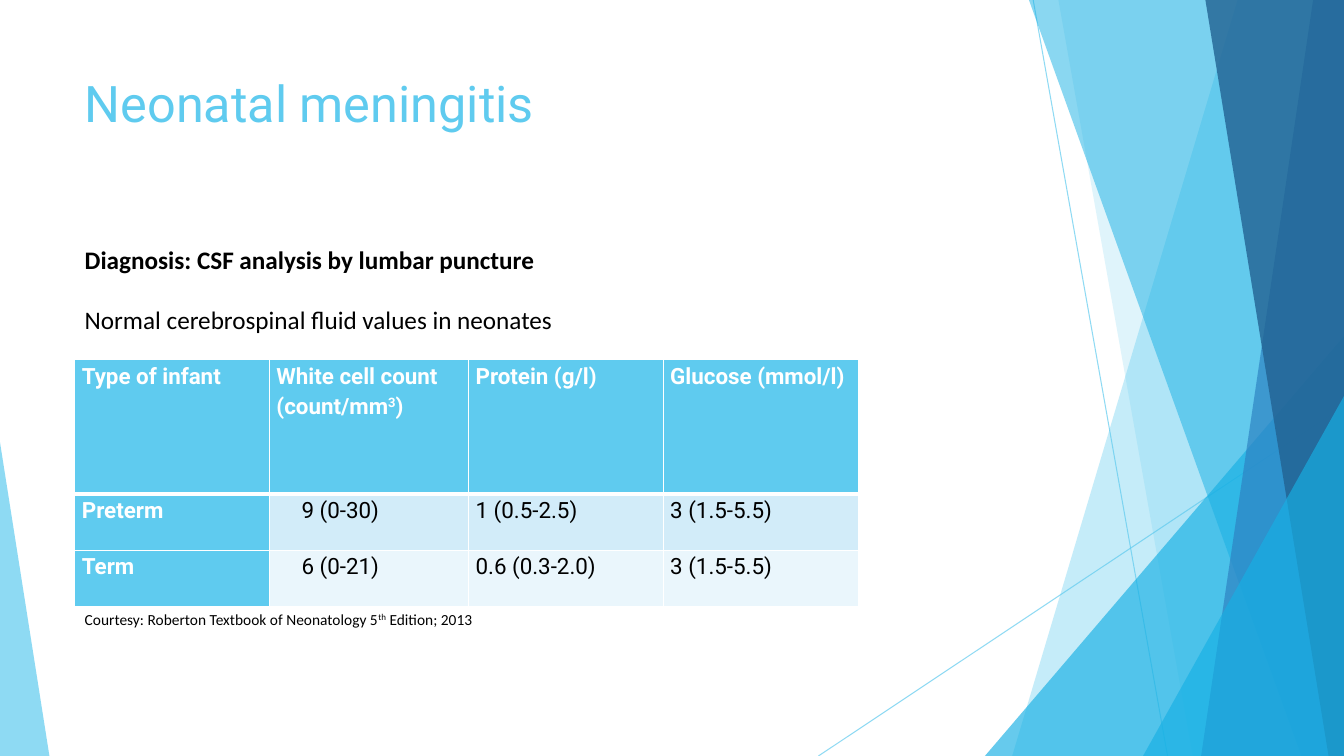
from lxml import etree
from pptx import Presentation
from pptx.dml.color import RGBColor
from pptx.enum import shapes, text
from pptx.oxml import ns
from pptx.util import Pt

WIDTH, HEIGHT = 960, 540
SKY = RGBColor(0x5F, 0xCB, 0xEF)
CYAN = RGBColor(0x17, 0xB0, 0xE4)
BLUE = RGBColor(0x2E, 0x83, 0xC3)
NAVY = RGBColor(0x22, 0x62, 0x92)
BAND_DARK = RGBColor(0xD2, 0xEC, 0xF9)
BAND_LIGHT = RGBColor(0xEA, 0xF6, 0xFC)
WHITE = RGBColor(0xFF, 0xFF, 0xFF)
BLACK = RGBColor(0, 0, 0)

# Each entry is (text, baseline shift in thousandths of a percent)
HEADERS = [
    [("Type of infant", 0)],
    [("White cell count (count/mm", 0), ("3", 30000), (")", 0)],
    [("Protein (g/l)", 0)],
    [("Glucose (mmol/l)", 0)],
]
VALUES = [
    ["Preterm", "9 (0-30)", "1 (0.5-2.5)", "3 (1.5-5.5)"],
    ["Term", "6 (0-21)", "0.6 (0.3-2.0)", "3 (1.5-5.5)"],
]


def sub(parent, tag, **attrs):
    return etree.SubElement(parent, ns.qn(tag), **attrs)


def set_alpha(fill_parent, percent):
    color = fill_parent.find(".//" + ns.qn("a:srgbClr"))
    sub(color, "a:alpha", val=str(percent * 1000))


def style_facet(sp, color, alpha):
    sp.shadow.inherit = False
    sp.fill.solid()
    sp.fill.fore_color.rgb = color
    set_alpha(sp._element.spPr, alpha)
    sp.line.fill.background()


def add_ribbon(slide, top_x, bottom_x, color, alpha):
    """Full-height facet that reaches the right edge of the slide."""
    builder = slide.shapes.build_freeform(Pt(top_x), 0)
    corners = [(WIDTH, 0), (WIDTH, HEIGHT), (bottom_x, HEIGHT)]
    builder.add_line_segments([(Pt(x), Pt(y)) for x, y in corners], close=True)
    style_facet(builder.convert_to_shape(), color, alpha)


def add_corner(slide, left, top, right, apex, color, alpha):
    """Right triangle standing on the bottom edge of the slide."""
    sp = slide.shapes.add_shape(
        shapes.MSO_SHAPE.ISOSCELES_TRIANGLE,
        Pt(left), Pt(top), Pt(right - left), Pt(HEIGHT - top))
    sp.adjustments[0] = apex
    style_facet(sp, color, alpha)


def add_hairline(slide, x1, y1, x2, y2):
    line = slide.shapes.add_connector(
        shapes.MSO_CONNECTOR.STRAIGHT, Pt(x1), Pt(y1), Pt(x2), Pt(y2))
    line.line.color.rgb = SKY
    line.line.width = Pt(0.75)
    set_alpha(line._element.spPr, 70)
    sub(line._element.spPr, "a:effectLst")


def add_run(p, content, font, size, color, bold=False, baseline=0):
    r = p.add_run()
    r.text = content
    r.font.name = font
    r.font.size = Pt(size)
    r.font.color.rgb = color
    r.font.bold = bold
    if baseline:
        r.font._element.set("baseline", str(baseline))


def place(sp, left, top, width, height):
    sp.left, sp.top, sp.width, sp.height = Pt(left), Pt(top), Pt(width), Pt(height)
    tf = sp.text_frame
    tf.word_wrap = True
    tf.auto_size = text.MSO_AUTO_SIZE.NONE
    tf.vertical_anchor = text.MSO_ANCHOR.TOP
    return tf


def add_body_line(p, runs, size, before=0, bold=False):
    pPr = p._p.get_or_add_pPr()
    pPr.set("marL", "0")
    pPr.set("indent", "0")
    sub(pPr, "a:buNone")
    p.alignment = text.PP_ALIGN.JUSTIFY
    p.space_before = Pt(before)
    for content, baseline in runs:
        add_run(p, content, "Calibri", size, BLACK, bold, baseline)


def fill_cell(cell, runs, fill, color, bold, bottom=1, indent=0):
    tcPr = cell._tc.get_or_add_tcPr()
    for side, width in (("L", 1), ("R", 1), ("T", 1), ("B", bottom)):
        ln = sub(tcPr, "a:ln" + side, w=str(Pt(width)))
        sub(sub(ln, "a:solidFill"), "a:srgbClr", val=str(WHITE))
    cell.fill.solid()
    cell.fill.fore_color.rgb = fill
    cell.margin_left = cell.margin_right = Pt(5)
    cell.margin_top = cell.margin_bottom = 0
    p = cell.text_frame.paragraphs[0]
    p.line_spacing = 1.15
    if indent:
        p._p.get_or_add_pPr().set("indent", str(Pt(indent)))
    for content, baseline in runs:
        add_run(p, content, "Roboto", 16, color, bold, baseline)


def add_csf_table(slide):
    frame = slide.shapes.add_table(3, 4, Pt(53.5), Pt(257), Pt(560), Pt(176.4))
    table = frame.table
    table.horz_banding = False
    for column, width in zip(table.columns, (139, 142.3, 139, 139.7)):
        column.width = Pt(width)
    for row, height in zip(table.rows, (95.8, 40.3, 40.3)):
        row.height = Pt(height)
    for c, runs in enumerate(HEADERS):
        fill_cell(table.cell(0, c), runs, SKY, WHITE, True, bottom=3)
    for r, (values, band) in enumerate(zip(VALUES, (BAND_DARK, BAND_LIGHT)), 1):
        for c, value in enumerate(values):
            label = c == 0
            fill_cell(table.cell(r, c), [(value, 0)], SKY if label else band,
                      WHITE if label else BLACK, label,
                      indent=18 if c == 1 else 0)


def add_facets(slide):
    add_hairline(slide, 738, 0, 834, HEIGHT)
    add_hairline(slide, WIDTH, 290, 584.6, HEIGHT)
    add_ribbon(slide, 884, 723, SKY, 36)
    add_ribbon(slide, 756, 852, SKY, 20)
    add_corner(slide, 703.5, 240, WIDTH, 1, CYAN, 66)
    add_ribbon(slide, 735, 929.5, CYAN, 50)
    add_ribbon(slide, 938, 858, BLUE, 70)
    add_ribbon(slide, 861, 949, NAVY, 80)
    add_corner(slide, 816.5, 283, WIDTH, 1, CYAN, 66)
    add_corner(slide, 0, 316, 35.3, 0, SKY, 70)


def main():
    prs = Presentation()
    prs.slide_width, prs.slide_height = Pt(WIDTH), Pt(HEIGHT)
    slide = prs.slides.add_slide(prs.slide_layouts[1])
    title, body = slide.placeholders[0], slide.placeholders[1]

    # Background facets, kept behind the text
    add_facets(slide)
    for sp in (title, body):
        slide.shapes._spTree.append(sp._element)

    # Title
    p = place(title, 53.3, 48, 677, 104).paragraphs[0]
    p.alignment = text.PP_ALIGN.LEFT
    add_run(p, "Neonatal meningitis", "Roboto", 36, SKY)

    # Lines above and below the table
    tf = place(body, 53.3, 171, 677, 305)
    add_body_line(tf.paragraphs[0],
                  [("Diagnosis: CSF analysis by lumbar puncture", 0)], 18, bold=True)
    add_body_line(tf.add_paragraph(),
                  [("Normal cerebrospinal fluid values in neonates", 0)], 18, before=21)
    add_body_line(tf.add_paragraph(),
                  [("Courtesy: Roberton Textbook of Neonatology 5", 0),
                   ("th", 30000), (" Edition; 2013", 0)], 11, before=197)

    # Table of normal values
    add_csf_table(slide)
    prs.save("out.pptx")


if __name__ == "__main__":
    main()
